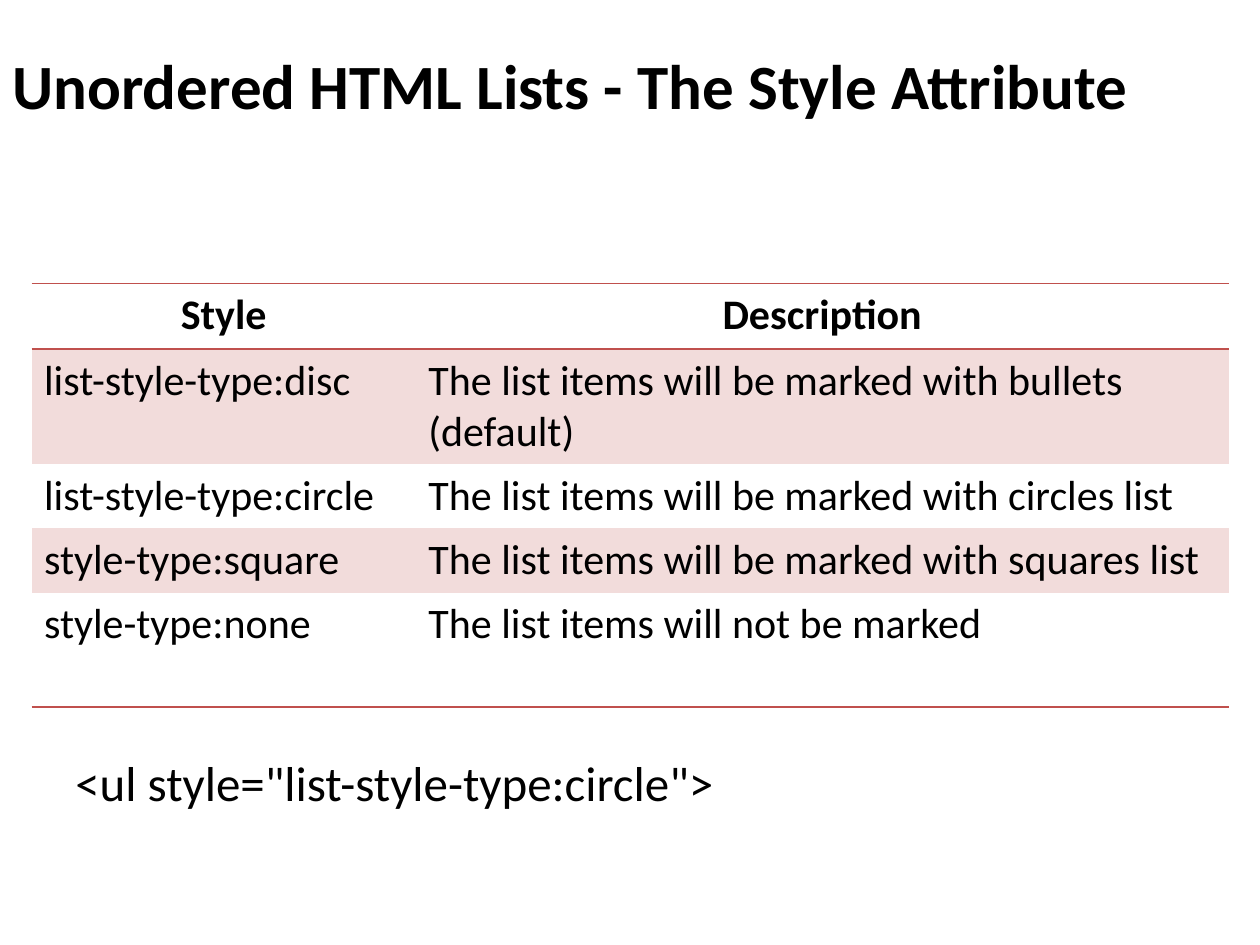
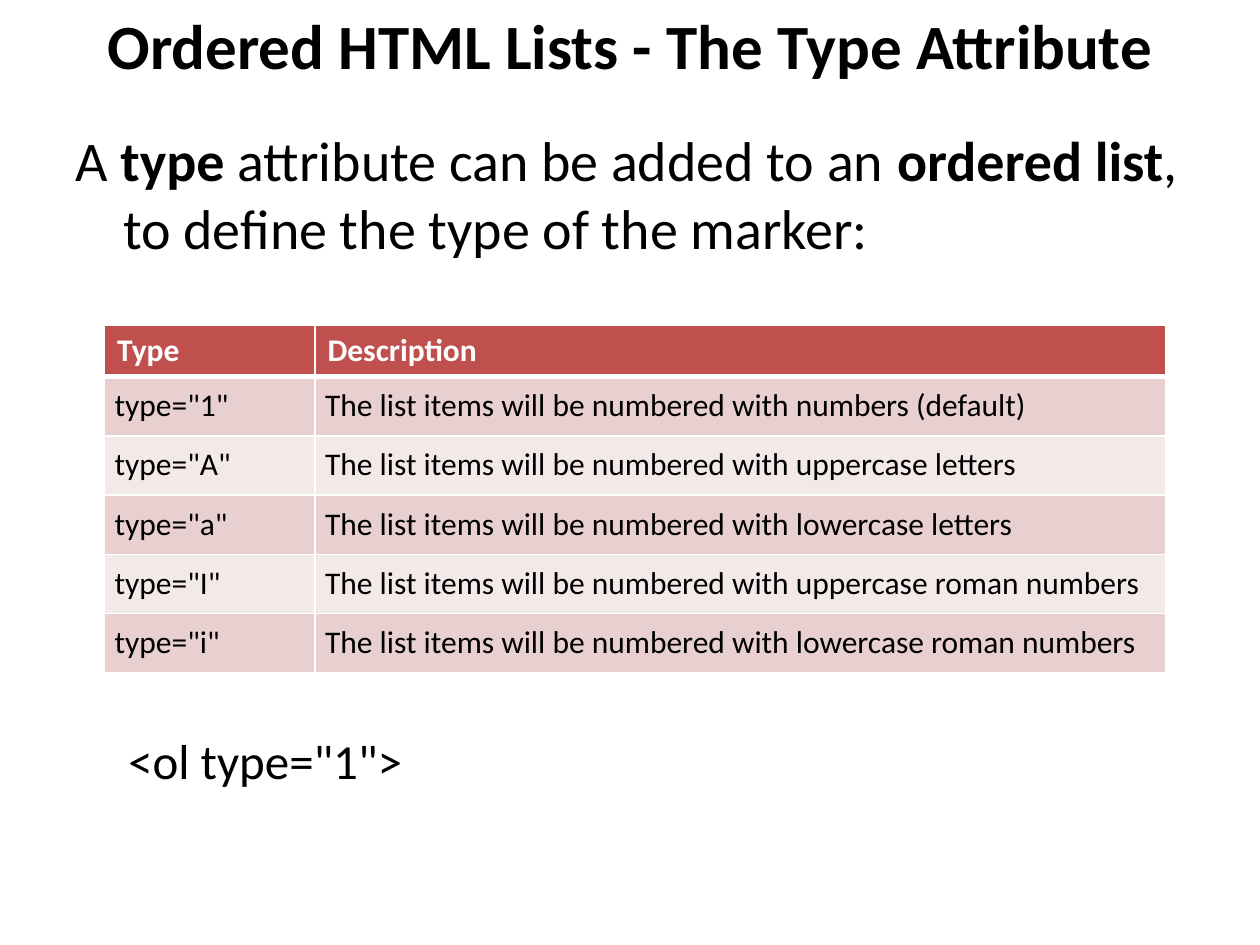
from lxml.etree import SubElement
from pptx import Presentation
from pptx.dml.color import RGBColor as Rgb
from pptx.enum.text import MSO_ANCHOR as Anchor, MSO_AUTO_SIZE as Auto, PP_ALIGN as Align
from pptx.oxml.ns import qn
from pptx.util import Inches, Pt

INK = {"text": "000000", "white": "FFFFFF", "red": "C0504D",
       "pink": "F2DCDB", "rose": "E8D0D0", "pale": "F4E9E9"}
FONT = "Calibri"
STYLES = [
    ("Style", "Description"),
    ("list-style-type:disc", "The list items will be marked with bullets (default)"),
    ("list-style-type:circle", "The list items will be marked with circles list"),
    ("style-type:square", "The list items will be marked with squares list"),
    ("style-type:none", "The list items will not be marked"),
]
MARKS = [("1", "numbers (default)"), ("A", "uppercase letters"), ("a", "lowercase letters"),
         ("I", "uppercase roman numbers"), ("i", "lowercase roman numbers")]
TYPES = [("Type", "Description")] + [
    (f'type="{mark}"', f"The list items will be numbered with {kind}") for mark, kind in MARKS]


def add_run(para, text, size, bold=False, ink="text"):
    """Add one formatted run to a paragraph."""
    run = para.add_run()
    run.text = text
    font = run.font
    font.name, font.size, font.bold = FONT, Pt(size), bold
    font.color.rgb = Rgb.from_string(INK[ink])


def add_slide(deck, title, box, align, anchor):
    """Add a title-only slide and set its title in the box."""
    slide = deck.slides.add_slide(deck.slide_layouts[5])
    head = slide.shapes.title
    head.left, head.top, head.width, head.height = map(Inches, box)
    frame = head.text_frame
    frame.auto_size, frame.vertical_anchor = Auto.NONE, anchor
    para = frame.paragraphs[0]
    para.alignment = align
    add_run(para, title, 36, True)
    return slide


def add_text(slide, box, runs, size, hang=0):
    """Add a wrapped text box of (text, bold) runs with a hanging indent."""
    frame = slide.shapes.add_textbox(*map(Inches, box)).text_frame
    frame.word_wrap = True
    para = frame.paragraphs[0]
    if hang:
        props = para._p.get_or_add_pPr()
        props.set("marL", str(Inches(hang)))
        props.set("indent", str(-Inches(hang)))
    for text, bold in runs:
        add_run(para, text, size, bold)


def set_edges(cell, edges):
    """Draw the cell's edges given as {side: (ink, points)} and clear the rest."""
    props = cell._tc.get_or_add_tcPr()
    for side in "LRTB":
        ink, width = edges.get(side, (None, 0))
        line = SubElement(props, qn(f"a:ln{side}"), w=str(Pt(width)))
        if ink:
            fill = SubElement(line, qn("a:solidFill"))
            SubElement(fill, qn("a:srgbClr"), val=INK[ink])
        else:
            SubElement(line, qn("a:noFill"))


def add_table(slide, spot, cols, rows, data, size, look):
    """Add a table whose cells are styled by look(cell, row)."""
    box = (*spot, sum(cols), sum(rows))
    table = slide.shapes.add_table(len(rows), len(cols), *map(Inches, box)).table
    for col, width in zip(table.columns, cols):
        col.width = Inches(width)
    for i, (row, tall) in enumerate(zip(table.rows, rows)):
        row.height = Inches(tall)
        for cell, text in zip(row.cells, data[i]):
            fill, ink = look(cell, i)
            if fill:
                cell.fill.solid()
                cell.fill.fore_color.rgb = Rgb.from_string(INK[fill])
            else:
                cell.fill.background()
            add_run(cell.text_frame.paragraphs[0], text, size, i == 0, ink)


def ruled(cell, row):
    """Style a cell between red rules, with pink bands."""
    rule = ("red", 1)
    sides = {0: "TB", 1: "T", len(STYLES) - 1: "B"}.get(row, "")
    set_edges(cell, {side: rule for side in sides})
    if row == 0:
        cell.text_frame.paragraphs[0].alignment = Align.CENTER
    return ("pink" if row % 2 else None), "text"


def banded(cell, row):
    """Style a cell of a white grid under a red header."""
    edges = {side: ("white", 1) for side in "LRTB"}
    if row < 2:
        edges["T" if row else "B"] = ("white", 3)
    set_edges(cell, edges)
    if row == 0:
        return "red", "white"
    cell.margin_left = cell.margin_right = Inches(0.08)
    cell.margin_top = cell.margin_bottom = Inches(0.08)
    return ("rose" if row % 2 else "pale"), "text"


def add_bullets(deck):
    """Build the slide on the style attribute."""
    slide = add_slide(deck, "Unordered HTML Lists - The Style Attribute",
                      (0, 0.32, 10, 0.95), Align.LEFT, Anchor.TOP)
    add_table(slide, (0.25, 2.25), (3.05, 6.45), (0.52, 0.91, 0.51, 0.51, 0.91),
              STYLES, 24, ruled)
    add_text(slide, (0.5, 5.92, 8.67, 0.57),
             [('<ul style="list-style-type:circle">', False)], 28)


def add_numbers(deck):
    """Build the slide on the type attribute."""
    slide = add_slide(deck, "Ordered HTML Lists - The Type Attribute",
                      (0, 0, 10, 0.7), Align.CENTER, Anchor.MIDDLE)
    add_text(slide, (0.5, 0.95, 9, 1.25),
             [("A ", False), ("type", True), (" attribute can be added to an ", False),
              ("ordered list", True), (", to define the type of the marker:", False)],
             32, 0.38)
    add_table(slide, (0.83, 2.58), (1.67, 6.75), [0.41] + [0.47] * len(MARKS),
              TYPES, 18, banded)
    add_text(slide, (0.92, 5.75, 8.33, 0.57), [('<ol type="1">', False)], 28)


def main():
    """Build and save the deck."""
    deck = Presentation()
    deck.slide_width, deck.slide_height = Inches(10), Inches(7.5)
    add_bullets(deck)
    add_numbers(deck)
    deck.save("out.pptx")


if __name__ == "__main__":
    main()
